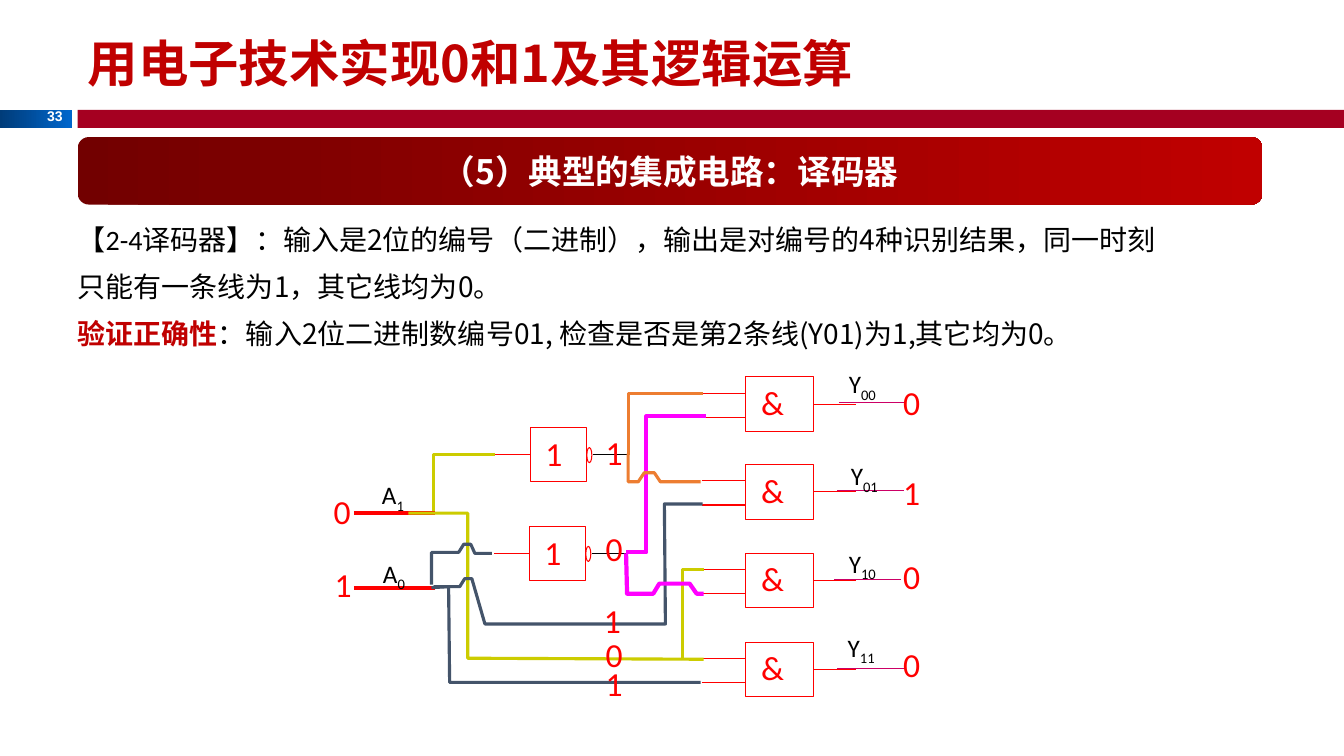
from lxml import etree
from pptx import Presentation
from pptx import util as u
from pptx.dml.color import RGBColor
from pptx.enum import shapes, text
from pptx.oxml import ns

PX = 9144  # EMU per px, 100 px to the inch
RED = RGBColor(0xFF, 0, 0)
DARK_RED = RGBColor(0xC0, 0, 0)
CRIMSON = RGBColor(0xA5, 0, 0x21)
BLACK = RGBColor(0, 0, 0)
WHITE = RGBColor(0xFF, 0xFF, 0xFF)
YELLOW = RGBColor(0xCC, 0xCC, 0)
SLATE = RGBColor(0x44, 0x54, 0x6A)
ORANGE = RGBColor(0xED, 0x7D, 0x31)
MAGENTA = RGBColor(0xFF, 0, 0xFF)
ROSE = RGBColor(0xCC, 0, 0x66)
BLUES = [RGBColor(0, 0x3C, 0x79), RGBColor(0, 0x66, 0xCC)]
REDS = [RGBColor(0x72, 0, 0), DARK_RED]
CJK = "Noto Sans CJK SC"
LATIN = "Calibri"

presentation = Presentation()
presentation.slide_width = 1333 * PX
presentation.slide_height = 750 * PX
slide = presentation.slides.add_slide(presentation.slide_layouts[1])


def add_run(paragraph, words, size, color, font=LATIN, bold=False, baseline=0):
    run = paragraph.add_run()
    run.text = words
    run.font.size = u.Pt(size)
    run.font.bold = bold
    run.font.color.rgb = color
    run.font.name = font
    properties = run._r.get_or_add_rPr()
    etree.SubElement(properties, ns.qn("a:ea")).set("typeface", CJK)
    if baseline:
        properties.set("baseline", str(baseline))


def add_line(x1, y1, x2, y2, color, width=0.75):
    line = slide.shapes.add_connector(
        shapes.MSO_CONNECTOR.STRAIGHT, x1 * PX, y1 * PX, x2 * PX, y2 * PX)
    line.line.color.rgb = color
    line.line.width = u.Pt(width)
    etree.SubElement(line._element.spPr, ns.qn("a:effectLst"))
    return line


# Title
title = slide.shapes.title
title.left, title.top, title.width, title.height = 77 * PX, 20 * PX, 1167 * PX, 83 * PX
title.text_frame.vertical_anchor = text.MSO_ANCHOR.MIDDLE
paragraph = title.text_frame.paragraphs[0]
paragraph.alignment = text.PP_ALIGN.LEFT
add_run(paragraph, "用电子技术实现0和1及其逻辑运算", 36, DARK_RED, CJK, True)

# Description
body = slide.placeholders[1]
body.left, body.top, body.width, body.height = 67 * PX, 202 * PX, 1097 * PX, 151 * PX
body.text_frame.auto_size = text.MSO_AUTO_SIZE.NONE
description = [
    [("【2-4", BLACK, LATIN, False), ("译码器", BLACK, CJK, False),
     ("】", BLACK, LATIN, False),
     ("：输入是2位的编号（二进制），输出是对编号的4种识别结果，"
      "同一时刻只能有一条线为1，其它线均为0。", BLACK, CJK, False)],
    [("验证正确性", DARK_RED, CJK, True),
     ("：输入2位二进制数编号01, 检查是否是第2条线(Y01)为1,其它均为0。",
      BLACK, CJK, False)],
]
for index, runs in enumerate(description):
    paragraph = body.text_frame.paragraphs[0] if index == 0 else body.text_frame.add_paragraph()
    properties = paragraph._p.get_or_add_pPr()
    properties.set("marL", "0")
    properties.set("indent", "0")
    etree.SubElement(properties, ns.qn("a:buNone"))
    paragraph.line_spacing = 1.4
    paragraph.space_before = u.Pt(0)
    for words, color, font, bold in runs:
        add_run(paragraph, words, 20, color, font, bold)

# Header bars and section banner
bars = [
    (shapes.MSO_SHAPE.RECTANGLE, 0, 109, 71, 18, BLUES),
    (shapes.MSO_SHAPE.RECTANGLE, 77, 109, 1256, 18, [CRIMSON]),
    (shapes.MSO_SHAPE.ROUNDED_RECTANGLE, 77, 136, 1175, 67, REDS),
]
for kind, x, y, width, height, colors in bars:
    bar = slide.shapes.add_shape(kind, x * PX, y * PX, width * PX, height * PX)
    bar.shadow.inherit = False
    bar.line.fill.background()
    if len(colors) == 1:
        bar.fill.solid()
        bar.fill.fore_color.rgb = colors[0]
    else:
        bar.fill.gradient()
        bar.fill.gradient_angle = 0
        for stop, color in zip(bar.fill.gradient_stops, colors):
            stop.color.rgb = color
banner = bar
banner.text_frame.vertical_anchor = text.MSO_ANCHOR.MIDDLE
paragraph = banner.text_frame.paragraphs[0]
paragraph.alignment = text.PP_ALIGN.CENTER
add_run(paragraph, "（5）典型的集成电路：译码器", 24, WHITE, CJK, True)

# Gate boxes with their leads
AND_TOPS = [374, 461, 549, 637]
INVERTERS = [(526, 424), (525, 522)]
gates = [(739, top, 68) for top in AND_TOPS] + [(x, top, 56) for x, top in INVERTERS]
for x, top, width in gates:
    gate = slide.shapes.add_shape(
        shapes.MSO_SHAPE.RECTANGLE, x * PX, top * PX, width * PX, 54 * PX)
    gate.shadow.inherit = False
    gate.fill.background()
    gate.line.color.rgb = RED
    gate.line.width = u.Pt(0.75)
    middle = top + 27
    if x == 739:
        for offset in (16, 40):
            add_line(696, top + offset, x, top + offset, RED)
        add_line(x + width, middle, 849, middle, RED).begin_connect(gate, 3)
    else:
        add_line(x - 35, middle, x, middle, RED).end_connect(gate, 1)
        add_line(x + 62, middle, x + 97, middle, BLACK)
        bubble = slide.shapes.add_shape(
            shapes.MSO_SHAPE.OVAL, (x + 56) * PX, (top + 20) * PX, 5 * PX, 15 * PX)
        bubble.shadow.inherit = False
        bubble.fill.background()
        bubble.line.color.rgb = RED
        bubble.line.width = u.Pt(0.75)

# Input leads
for y in (509, 583):
    add_line(351, y, 431, y, RED, 3)

# Bent wires
wires = [
    (SLATE, 2.25, [(428, 583), (445, 582), (446, 677), (695, 677)]),
    (YELLOW, 2.25, [(405, 509), (464, 509), (464, 653), (698, 654)]),
    (YELLOW, 2.25, [(430, 507), (430, 451), (491, 451)]),
    (SLATE, 2.25, [(428, 580), (428, 548), (455, 548), (460, 540), (467, 540),
                   (471, 549), (488, 549)]),
    (ORANGE, 2.25, [(623, 451), (623, 390), (697, 390)]),
    (MAGENTA, 3, [(621, 548), (641, 548), (641, 413), (700, 413)]),
    (ORANGE, 2.25, [(623, 450), (623, 478), (633, 478), (639, 469), (649, 469),
                    (655, 478), (695, 478)]),
    (SLATE, 2.25, [(430, 582), (456, 582), (461, 574), (468, 574), (481, 619),
                   (660, 619), (659, 500), (697, 500)]),
    (YELLOW, 2.25, [(677, 655), (677, 565), (698, 565)]),
    (MAGENTA, 3, [(621, 549), (622, 589), (648, 589), (654, 579), (684, 579),
                  (691, 589), (698, 589)]),
]
for color, width, points in wires:
    builder = slide.shapes.build_freeform(*points[0], scale=PX)
    builder.add_line_segments(points[1:], close=False)
    wire = builder.convert_to_shape()
    wire.shadow.inherit = False
    wire.fill.background()
    wire.line.color.rgb = color
    wire.line.width = u.Pt(width)

# Output leads
for x, y in [(832, 399), (830, 487), (827, 575), (830, 663)]:
    add_line(x, y, x + 67, y, ROSE)

# Labels: left, top, width, height, words, subscript, size, color
labels = [(745, top, 44, 50, "&", "", 24, RED) for top in AND_TOPS]
labels += [(x + 5, top + 1, 45, 51, "1", "", 24, RED) for x, top in INVERTERS]
labels += [(x, y, 50, 40, name, subscript, 18, BLACK) for x, y, name, subscript in [
    (369, 471, "A", "1"), (370, 549, "A", "0"), (832, 361, "Y", "00"),
    (834, 452, "Y", "01"), (832, 539, "Y", "10"), (831, 622, "Y", "11")]]
labels += [(x, y, 37, 50, bit, "", 24, RED) for x, y, bit in [
    (322, 555, "1"), (321, 482, "0"),
    (591, 424, "1"), (591, 519, "0"), (589, 590, "1"), (591, 624, "0"), (591, 653, "1"),
    (886, 374, "0"), (886, 463, "1"), (886, 547, "0"), (886, 634, "0")]]
labels.append((35, 102, 37, 27, "33", "", 10, WHITE))
for x, y, width, height, words, subscript, size, color in labels:
    label = slide.shapes.add_textbox(x * PX, y * PX, width * PX, height * PX)
    label.text_frame.word_wrap = False
    label.text_frame.auto_size = text.MSO_AUTO_SIZE.SHAPE_TO_FIT_TEXT
    paragraph = label.text_frame.paragraphs[0]
    page_number = words == "33"
    if page_number:
        paragraph.alignment = text.PP_ALIGN.RIGHT
    add_run(paragraph, words, size, color, "Arial" if page_number else LATIN, page_number)
    if subscript:
        add_run(paragraph, subscript, size, color, baseline=-25000)

presentation.save("out.pptx")
